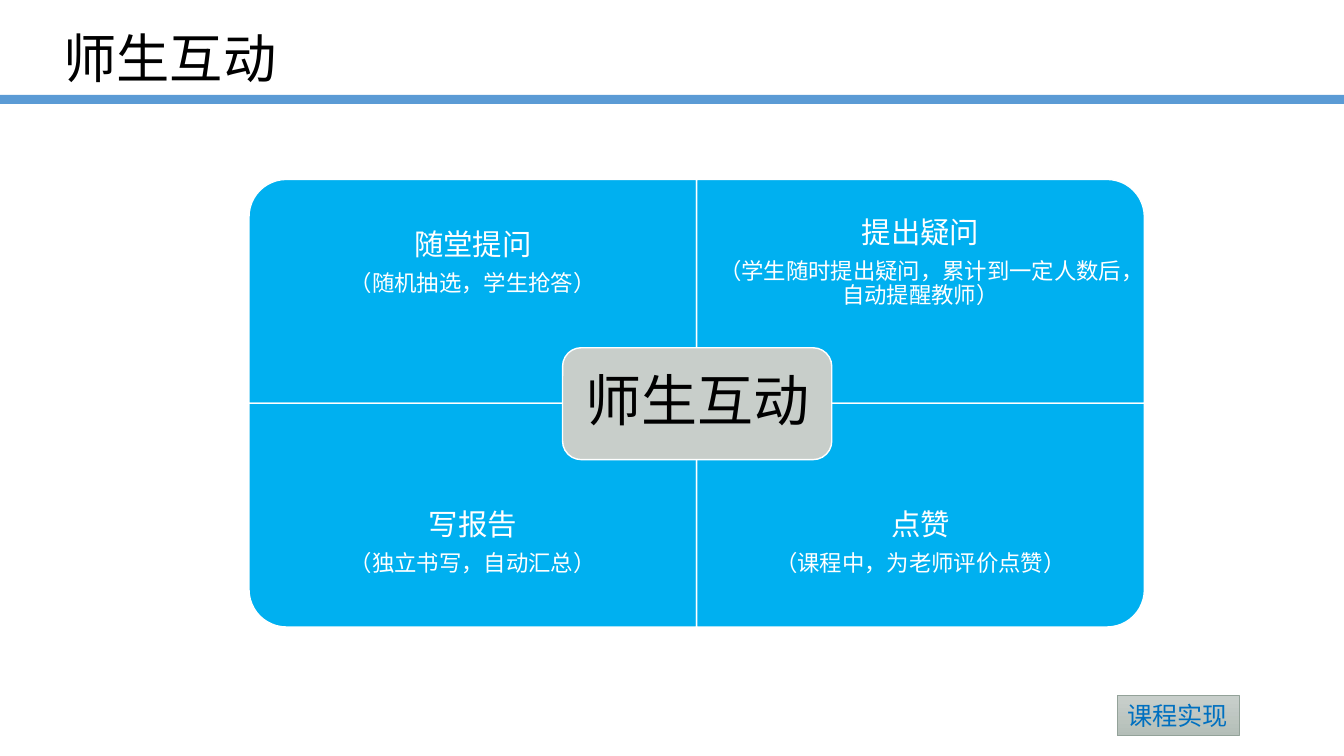
from pptx import Presentation
from pptx.dml.color import RGBColor
from pptx.enum.shapes import MSO_SHAPE
from pptx.enum.text import MSO_ANCHOR, MSO_AUTO_SIZE, PP_ALIGN
from pptx.oxml.ns import qn
from pptx.util import Inches, Pt
from lxml import etree

RECT = MSO_SHAPE.RECTANGLE
ROUND = MSO_SHAPE.ROUNDED_RECTANGLE
ROUND_ONE = MSO_SHAPE.ROUND_1_RECTANGLE
MIDDLE = MSO_ANCHOR.MIDDLE
LEFT, CENTER = PP_ALIGN.LEFT, PP_ALIGN.CENTER
COLORS = {
    "bar": "5B9BD5", "quadrant": "00B0F0", "hub": "C8CECA",
    "white": "FFFFFF", "black": "000000", "link": "0070C0",
    "button_top": "C8CFCB", "button_bottom": "B4BEB8", "button_line": "93A299",
}


def add_box(kind, x, y, w, h, fill, line=None):
    sp = s.shapes.add_shape(kind, Inches(x), Inches(y), Inches(w), Inches(h))
    sp.shadow.inherit = False
    sp.fill.solid()
    sp.fill.fore_color.rgb = RGBColor.from_string(COLORS[fill])
    if line:
        sp.line.color.rgb = RGBColor.from_string(COLORS[line])
        sp.line.width = Pt(1)
    else:
        sp.line.fill.background()
    return sp


def add_text(tf, lines, color, align=CENTER, font="Arial", inset=None, after=0.35, spacing=0.9):
    tf.word_wrap = True
    tf.vertical_anchor = MIDDLE
    if inset:
        tf.margin_left = tf.margin_right = Inches(inset)
        tf.margin_top = tf.margin_bottom = Inches(inset)
    for i, (text, size) in enumerate(lines):
        p = tf.add_paragraph() if i else tf.paragraphs[0]
        p.alignment = align
        p.line_spacing = spacing
        p.space_after = Pt(size * after)
        r = p.add_run()
        r.text = text
        r.font.size = Pt(size)
        r.font.name = font
        r.font.color.rgb = RGBColor.from_string(COLORS[color])
        etree.SubElement(r.font._element, qn("a:ea")).set("typeface", font)


prs = Presentation()
prs.slide_width, prs.slide_height = Inches(13.33), Inches(7.5)
s = prs.slides.add_slide(prs.slide_layouts[6])

add_box(RECT, 0, 0.94, 13.33, 0.09, "bar")

LEFT_X, TOP_Y, QUAD_W, QUAD_H, TEXT_H = 2.47, 1.78, 4.44, 2.22, 1.67
quadrants = [
    (0, 0, 270, "随堂提问", "（随机抽选，学生抢答）"),
    (1, 0, 0, "提出疑问", "（学生随时提出疑问，累计到一定人数后，自动提醒教师）"),
    (0, 1, 180, "写报告", "（独立书写，自动汇总）"),
    (1, 1, 90, "点赞", "（课程中，为老师评价点赞）"),
]
for col, row, angle, heading, detail in quadrants:
    x, y = LEFT_X + col * QUAD_W, TOP_Y + row * QUAD_H
    w, h = (QUAD_H, QUAD_W) if angle % 180 else (QUAD_W, QUAD_H)
    sp = add_box(ROUND_ONE, x + (QUAD_W - w) / 2, y + (QUAD_H - h) / 2, w, h, "quadrant", "white")
    sp.rotation = angle
    text_y = y + row * (QUAD_H - TEXT_H)
    tb = s.shapes.add_textbox(Inches(x), Inches(text_y), Inches(QUAD_W), Inches(TEXT_H))
    add_text(tb.text_frame, [(heading, 21), (detail, 16)], "white", inset=0.16)

hub = add_box(ROUND, 5.58, 3.45, 2.67, 1.11, "hub", "white")
add_text(hub.text_frame, [("师生互动", 40)], "black", inset=0.17)

button = add_box(RECT, 11.08, 6.9, 1.21, 0.4, "hub", "button_line")
button.line.width = Pt(0.5)
button.fill.gradient()
button.fill.gradient_angle = 270
for stop, name in zip(button.fill.gradient_stops, ("button_top", "button_bottom")):
    stop.color.rgb = RGBColor.from_string(COLORS[name])
add_text(button.text_frame, [("课程实现", 18)], "link", LEFT, after=0, spacing=1.0)
button.text_frame.word_wrap = False
button.text_frame.auto_size = MSO_AUTO_SIZE.SHAPE_TO_FIT_TEXT

title = s.shapes.add_textbox(Inches(0.53), Inches(-0.02), Inches(12), Inches(1.25))
add_text(title.text_frame, [("师生互动", 38)], "black", LEFT, "Noto Sans CJK SC", after=0)

prs.save("out.pptx")
